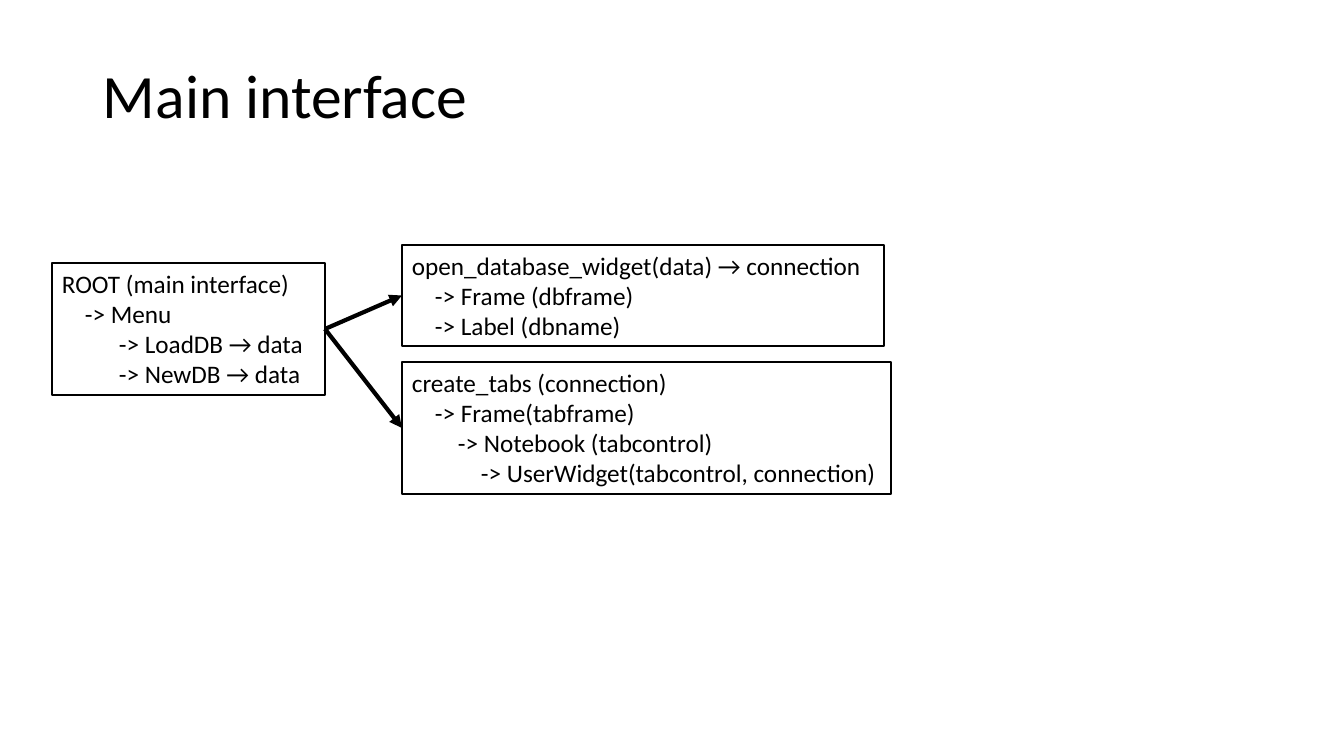
import pptx
import pptx.util
import pptx.dml.color
import pptx.enum.shapes
import pptx.enum.text
import pptx.oxml.ns
from lxml import etree

SCALE = 914400 / 100.8
FONT = "Calibri"
COLORS = {"ink": "000000"}
LEFT_SITE, RIGHT_SITE = 1, 3


def px(n):
    return pptx.util.Emu(round(n * SCALE))


def color(name):
    return pptx.dml.color.RGBColor.from_string(COLORS[name])


def write(tf, lines, size):
    tf.word_wrap = True
    tf.text = "\n".join(text for text, indent in lines)
    for p, (text, indent) in zip(tf.paragraphs, lines):
        p.alignment = pptx.enum.text.PP_ALIGN.LEFT
        if indent:
            p._p.get_or_add_pPr().set("marL", str(px(indent)))
        for r in p.runs:
            r.font.name = FONT
            r.font.size = pptx.util.Pt(size)
            r.font.color.rgb = color("ink")


def add_title(s, box, text):
    tf = s.shapes.add_textbox(*map(px, box)).text_frame
    write(tf, [(text, 0)], 44)
    tf.vertical_anchor = pptx.enum.text.MSO_ANCHOR.MIDDLE
    tf.paragraphs[0].line_spacing = 0.9


def add_code_box(s, box, lines):
    sp = s.shapes.add_shape(pptx.enum.shapes.MSO_SHAPE.RECTANGLE, *map(px, box))
    sp.shadow.inherit = False
    sp.fill.background()
    sp.line.color.rgb = color("ink")
    sp.line.width = pptx.util.Pt(1.5)
    write(sp.text_frame, lines, 18)
    sp.text_frame.vertical_anchor = pptx.enum.text.MSO_ANCHOR.TOP
    return sp


def add_arrow(s, source, target):
    cx = s.shapes.add_connector(pptx.enum.shapes.MSO_CONNECTOR.STRAIGHT, 0, 0, 0, 0)
    cx.begin_connect(source, RIGHT_SITE)
    cx.end_connect(target, LEFT_SITE)
    cx.line.color.rgb = color("ink")
    cx.line.width = pptx.util.Pt(3)
    qn = pptx.oxml.ns.qn
    etree.SubElement(cx.line._get_or_add_ln(), qn("a:tailEnd"), type="triangle")
    etree.SubElement(cx._element.spPr, qn("a:effectLst"))


def main():
    prs = pptx.Presentation()
    prs.slide_width, prs.slide_height = px(1344), px(756)
    s = prs.slides.add_slide(prs.slide_layouts[6])
    add_title(s, (93, 26, 1159, 146), "Main interface")
    root = add_code_box(s, (52, 263, 273, 132), [
        ("ROOT (main interface)", 0),
        ("-> Menu", 23),
        ("-> LoadDB → data", 57),
        ("-> NewDB → data", 57),
    ])
    database = add_code_box(s, (402, 245, 482, 101), [
        ("open_database_widget(data) → connection", 0),
        ("-> Frame (dbframe)", 23),
        ("-> Label (dbname)", 23),
    ])
    tabs = add_code_box(s, (402, 362, 489, 132), [
        ("create_tabs (connection)", 0),
        ("-> Frame(tabframe)", 23),
        ("-> Notebook (tabcontrol)", 46),
        ("-> UserWidget(tabcontrol, connection)", 69),
    ])
    for target in (database, tabs):
        add_arrow(s, root, target)
    prs.save("out.pptx")


main()
